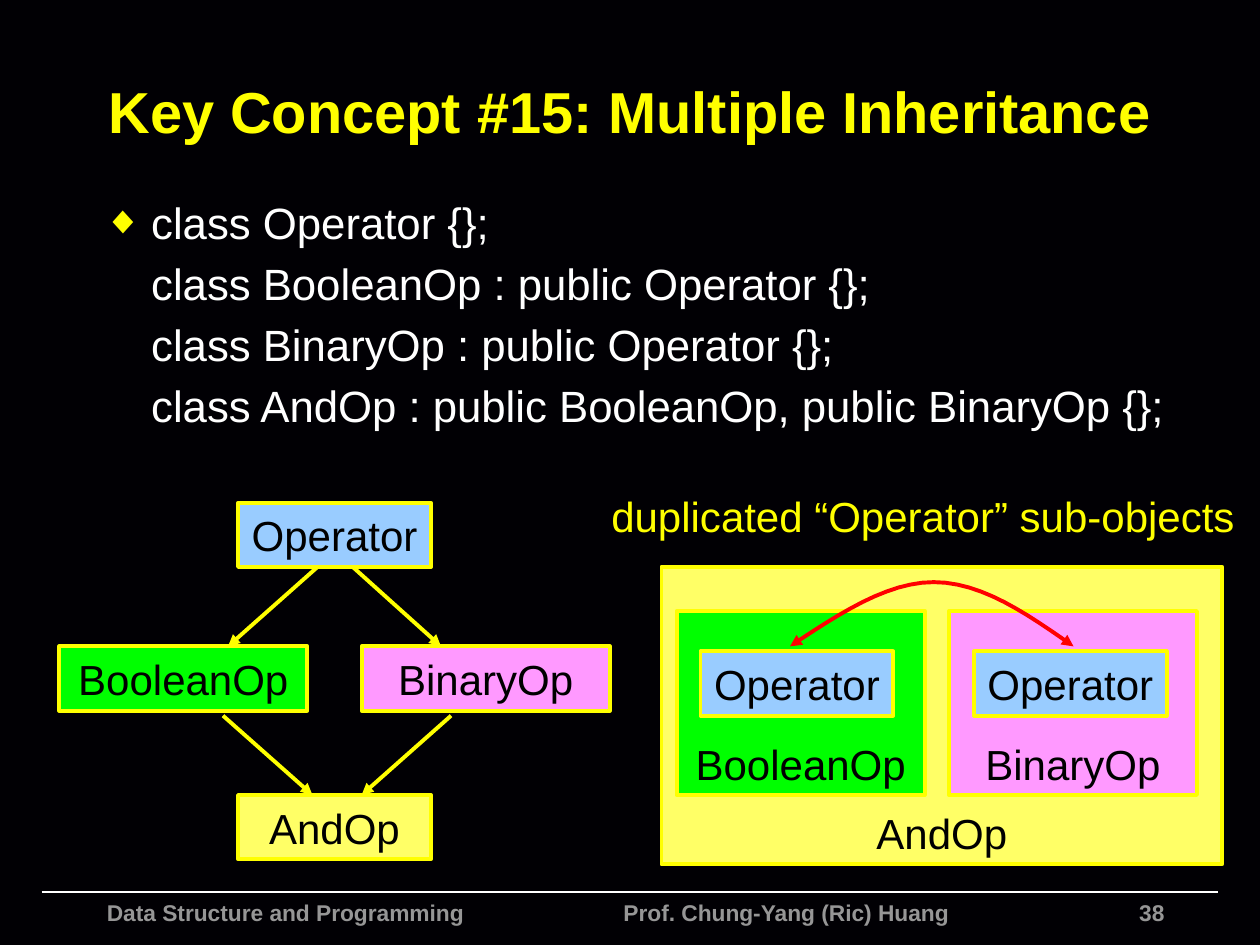
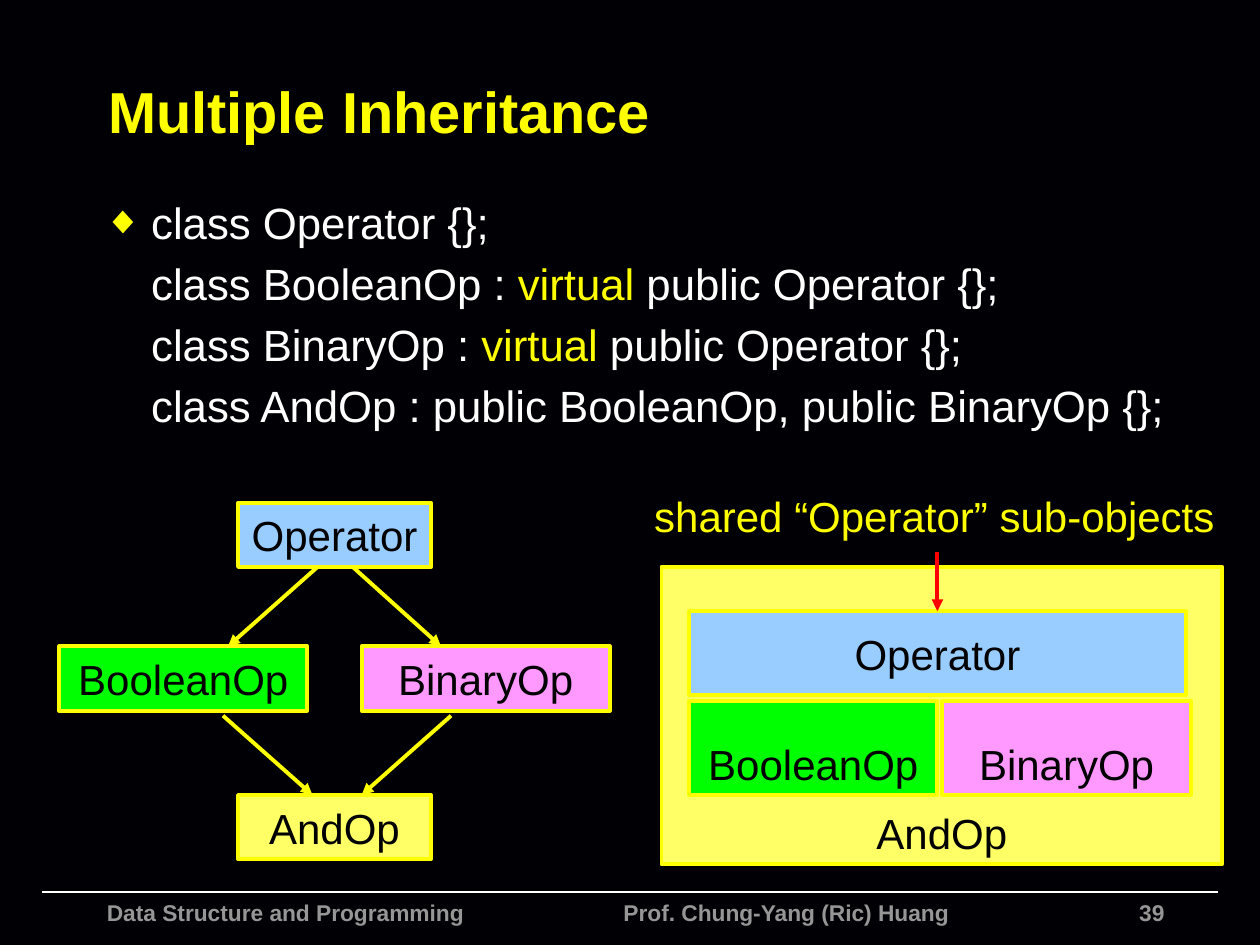
"""Build two slides on multiple inheritance, with class diagrams and object layouts."""
from dataclasses import dataclass

from lxml import etree
from pptx import Presentation
from pptx.dml.color import RGBColor
from pptx.enum.shapes import MSO_CONNECTOR, MSO_SHAPE
from pptx.enum.text import MSO_ANCHOR, MSO_AUTO_SIZE, PP_ALIGN
from pptx.oxml.ns import qn
from pptx.util import Inches, Pt

STRAIGHT = MSO_CONNECTOR.STRAIGHT
RECTANGLE = MSO_SHAPE.RECTANGLE
MIDDLE, BOTTOM, TOP = MSO_ANCHOR.MIDDLE, MSO_ANCHOR.BOTTOM, MSO_ANCHOR.TOP
LEFT, CENTER, RIGHT = PP_ALIGN.LEFT, PP_ALIGN.CENTER, PP_ALIGN.RIGHT
FIXED_SIZE = MSO_AUTO_SIZE.NONE

BACKGROUND = RGBColor(0x01, 0x00, 0x04)
WHITE = RGBColor(0xFF, 0xFF, 0xFF)
BLACK = RGBColor(0x00, 0x00, 0x00)
YELLOW = RGBColor(0xFF, 0xFF, 0x00)
RED = RGBColor(0xFF, 0x00, 0x00)
GRAY = RGBColor(0x96, 0x96, 0x96)
FILLS = {
    "Operator": RGBColor(0x99, 0xCC, 0xFF),
    "BooleanOp": RGBColor(0x00, 0xFF, 0x00),
    "BinaryOp": RGBColor(0xFF, 0x99, 0xFF),
    "AndOp": RGBColor(0xFF, 0xFF, 0x66),
}

FONT = "Arial"
LABEL_SIZE = 24
STROKE = 2.25
INDENT = 0.38
NARROW, WIDE, LOW = 1.53, 1.97, 0.51
CURVE_STEPS = 12

Point = tuple[float, float]


@dataclass(frozen=True)
class ClassBox:
    """A rectangle standing for a class or one of its sub-objects."""
    name: str
    left: float
    top: float
    width: float
    height: float = LOW
    anchor: MSO_ANCHOR = MIDDLE


@dataclass(frozen=True)
class Arrow:
    """A straight arrow between two points."""
    start: Point
    end: Point
    color: RGBColor = YELLOW


@dataclass(frozen=True)
class Caption:
    """The yellow line above the object layout."""
    text: str
    left: float
    width: float


@dataclass(frozen=True)
class Lesson:
    """Everything that differs between the slides."""
    number: int
    title: str
    keyword: str
    caption: Caption
    sub_objects: tuple[ClassBox, ...]


HIERARCHY = (
    ClassBox("Operator", 1.89, 3.99, NARROW),
    ClassBox("BooleanOp", 0.47, 5.13, WIDE),
    ClassBox("BinaryOp", 2.87, 5.13, WIDE),
    ClassBox("AndOp", 1.89, 6.31, NARROW),
)
INHERITANCE = (
    Arrow((2.52, 4.5), (1.81, 5.13)),
    Arrow((2.8, 4.5), (3.5, 5.13)),
    Arrow((1.77, 5.68), (2.48, 6.31)),
    Arrow((3.58, 5.68), (2.87, 6.31)),
)
WHOLE_OBJECT = ClassBox("AndOp", 5.25, 4.5, 4.45, 2.36, BOTTOM)
DUPLICATE_LINK = (
    ((6.27, 5.13), (6.66, 4.87), (7.04, 4.62), (7.41, 4.62)),
    ((7.41, 4.62), (7.79, 4.62), (8.15, 4.87), (8.52, 5.13)),
)
SHARED_POINTER = Arrow((7.44, 4.38), (7.44, 4.85), RED)

DUPLICATED = Lesson(
    38, "Key Concept #15: Multiple Inheritance", "",
    Caption("duplicated “Operator” sub-objects", 4.8, 5.05),
    (
        ClassBox("BooleanOp", 5.37, 4.85, WIDE, 1.46, BOTTOM),
        ClassBox("BinaryOp", 7.53, 4.85, WIDE, 1.46, BOTTOM),
        ClassBox("Operator", 5.56, 5.17, NARROW),
        ClassBox("Operator", 7.73, 5.17, NARROW),
    ),
)
SHARED = Lesson(
    39, "Multiple Inheritance", "virtual",
    Caption("shared “Operator” sub-objects", 5.14, 4.55),
    (
        ClassBox("BooleanOp", 5.47, 5.56, WIDE, 0.75, BOTTOM),
        ClassBox("BinaryOp", 7.48, 5.56, WIDE, 0.75, BOTTOM),
        ClassBox("Operator", 5.47, 4.85, 2 * WIDE, 0.67),
    ),
)


def add_run(paragraph, text: str, size: float, color: RGBColor, bold: bool = False) -> None:
    run = paragraph.add_run()
    run.text = text
    run.font.name = FONT
    run.font.size = Pt(size)
    run.font.bold = bold
    run.font.color.rgb = color


def set_frame(frame, anchor: MSO_ANCHOR, wrap: bool, side: float = 0.05) -> None:
    frame.auto_size = FIXED_SIZE
    frame.word_wrap = wrap
    frame.vertical_anchor = anchor
    frame.margin_left = frame.margin_right = Inches(side)
    frame.margin_top = frame.margin_bottom = Inches(0.05)


def place(shape, left: float, top: float, width: float, height: float) -> None:
    shape.left, shape.top = Inches(left), Inches(top)
    shape.width, shape.height = Inches(width), Inches(height)


def add_arrowheads(shape, *ends: str) -> None:
    line = shape._element.spPr.find(qn("a:ln"))
    for end in ends:
        etree.SubElement(line, qn(f"a:{end}"), type="triangle")


def add_line(slide, start: Point, end: Point, color: RGBColor, width: float):
    line = slide.shapes.add_connector(
        STRAIGHT, *(Inches(value) for value in (*start, *end)))
    line.line.color.rgb = color
    line.line.width = Pt(width)
    etree.SubElement(line._element.spPr, qn("a:effectLst"))
    return line


def add_arrow(slide, arrow: Arrow) -> None:
    line = add_line(slide, arrow.start, arrow.end, arrow.color, STROKE)
    add_arrowheads(line, "tailEnd")


def add_class_box(slide, box: ClassBox) -> None:
    shape = slide.shapes.add_shape(RECTANGLE, 0, 0, 0, 0)
    place(shape, box.left, box.top, box.width, box.height)
    shape.shadow.inherit = False
    shape.fill.solid()
    shape.fill.fore_color.rgb = FILLS[box.name]
    shape.line.color.rgb = YELLOW
    shape.line.width = Pt(STROKE)
    set_frame(shape.text_frame, box.anchor, False)
    paragraph = shape.text_frame.paragraphs[0]
    paragraph.alignment = CENTER
    add_run(paragraph, box.name, LABEL_SIZE, BLACK)


def bezier_point(curve: tuple[Point, ...], step: int) -> Point:
    t = step / CURVE_STEPS
    weights = ((1 - t) ** 3, 3 * t * (1 - t) ** 2, 3 * t ** 2 * (1 - t), t ** 3)
    x, y = (sum(weight * point[axis] for weight, point in zip(weights, curve))
            for axis in (0, 1))
    return Inches(x), Inches(y)


def add_duplicate_link(slide) -> None:
    points = [bezier_point(curve, step) for curve in DUPLICATE_LINK
              for step in range(1, CURVE_STEPS + 1)]
    builder = slide.shapes.build_freeform(*bezier_point(DUPLICATE_LINK[0], 0))
    builder.add_line_segments(points, close=False)
    shape = builder.convert_to_shape()
    shape.shadow.inherit = False
    shape.fill.background()
    shape.line.color.rgb = RED
    shape.line.width = Pt(STROKE)
    add_arrowheads(shape, "headEnd", "tailEnd")


def add_caption(slide, caption: Caption) -> None:
    shape = slide.shapes.add_textbox(0, 0, 0, 0)
    place(shape, caption.left, 3.84, caption.width, 0.5)
    set_frame(shape.text_frame, TOP, False)
    paragraph = shape.text_frame.paragraphs[0]
    paragraph.alignment = CENTER
    add_run(paragraph, caption.text, LABEL_SIZE, YELLOW)


def add_footer(slide, number: int) -> None:
    add_line(slide, (0.33, 7.08), (9.67, 7.08), WHITE, 1)
    entries = (
        (str(number), RIGHT, 6.17, 3.17, 0.18),
        ("Data Structure and Programming\tProf. Chung-Yang (Ric) Huang", LEFT, 0.75, 7.24, 0.42),
    )
    for text, alignment, left, width, height in entries:
        shape = slide.shapes.add_textbox(0, 0, 0, 0)
        place(shape, left, 7.08, width, height)
        set_frame(shape.text_frame, TOP, True, 0.1)
        paragraph = shape.text_frame.paragraphs[0]
        paragraph.alignment = alignment
        if "\t" in text:
            tabs = etree.SubElement(paragraph._p.get_or_add_pPr(), qn("a:tabLst"))
            etree.SubElement(tabs, qn("a:tab"), pos=str(Inches(4.1)), algn="l")
        add_run(paragraph, text, 13, GRAY, True)


def add_title(slide, text: str) -> None:
    title = slide.shapes.title
    place(title, 0.76, 0.37, 8.84, 1.01)
    set_frame(title.text_frame, MIDDLE, True, 0.1)
    paragraph = title.text_frame.paragraphs[0]
    paragraph.alignment = LEFT
    add_run(paragraph, text, 33, YELLOW, True)


def set_bullet(paragraph, visible: bool) -> None:
    properties = paragraph._p.get_or_add_pPr()
    properties.set("marL", str(Inches(INDENT)))
    properties.set("indent", str(-Inches(INDENT) if visible else 0))
    if not visible:
        etree.SubElement(properties, qn("a:buNone"))
        return
    color = etree.SubElement(properties, qn("a:buClr"))
    etree.SubElement(color, qn("a:srgbClr"), val=str(YELLOW))
    etree.SubElement(properties, qn("a:buSzPct"), val="90000")
    etree.SubElement(properties, qn("a:buFont"), typeface=FONT)
    etree.SubElement(properties, qn("a:buChar"), char="◆")


def add_declarations(slide, keyword: str) -> None:
    body = slide.placeholders[1]
    place(body, 0.72, 1.5, 8.73, 2.29)
    frame = body.text_frame
    set_frame(frame, TOP, True, 0.1)
    derived = [(f"class {name} : ", keyword, " public Operator {};") if keyword
               else (f"class {name} : public Operator {{}};",)
               for name in ("BooleanOp", "BinaryOp")]
    lines = [("class Operator {};",), *derived,
             ("class AndOp : public BooleanOp, public BinaryOp {};",)]
    for index, pieces in enumerate(lines):
        paragraph = frame.add_paragraph() if index else frame.paragraphs[0]
        set_bullet(paragraph, index == 0)
        for piece in pieces:
            add_run(paragraph, piece, 25, YELLOW if piece == keyword else WHITE)


def add_lesson(presentation, lesson: Lesson):
    slide = presentation.slides.add_slide(presentation.slide_layouts[1])
    slide.background.fill.solid()
    slide.background.fill.fore_color.rgb = BACKGROUND
    add_footer(slide, lesson.number)
    add_title(slide, lesson.title)
    add_declarations(slide, lesson.keyword)
    for box in HIERARCHY:
        add_class_box(slide, box)
    for arrow in INHERITANCE:
        add_arrow(slide, arrow)
    for box in (WHOLE_OBJECT, *lesson.sub_objects):
        add_class_box(slide, box)
    add_caption(slide, lesson.caption)
    return slide


def main() -> None:
    presentation = Presentation()
    presentation.slide_width, presentation.slide_height = Inches(10), Inches(7.5)
    add_duplicate_link(add_lesson(presentation, DUPLICATED))
    add_arrow(add_lesson(presentation, SHARED), SHARED_POINTER)
    presentation.save("out.pptx")


main()
